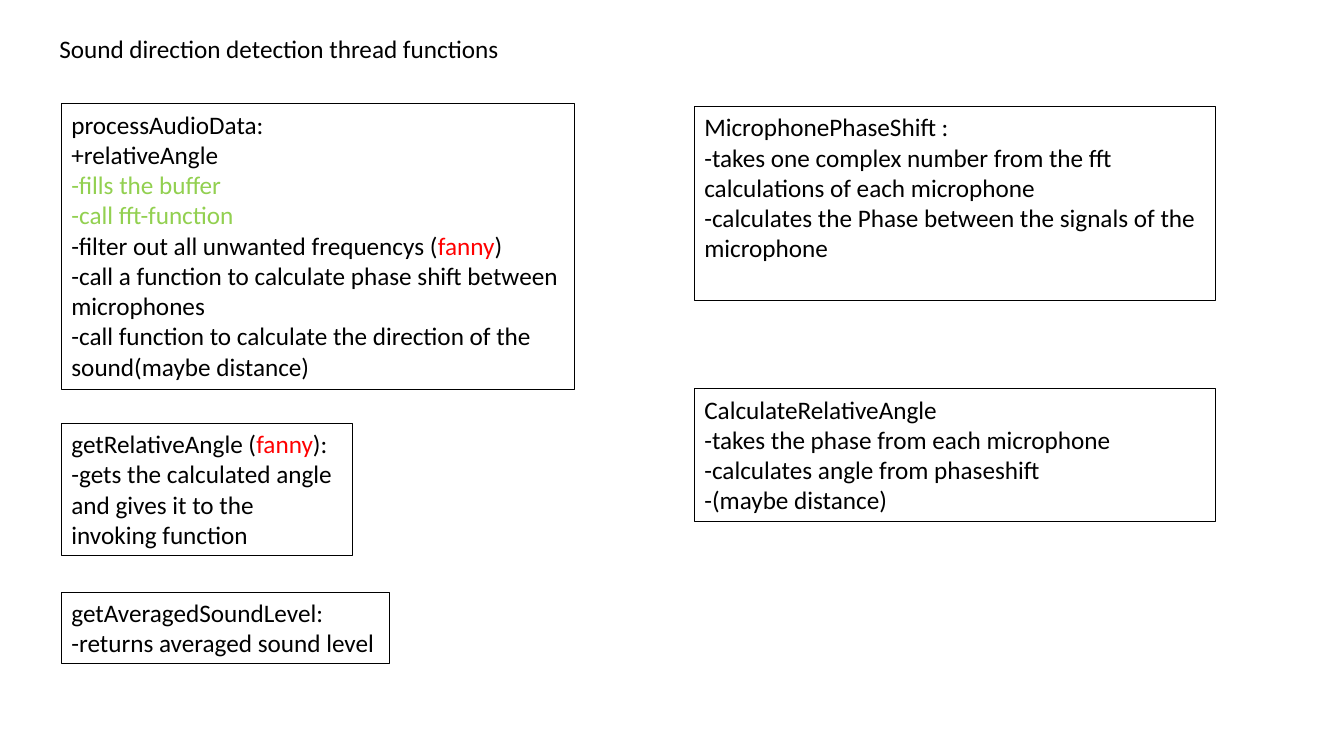
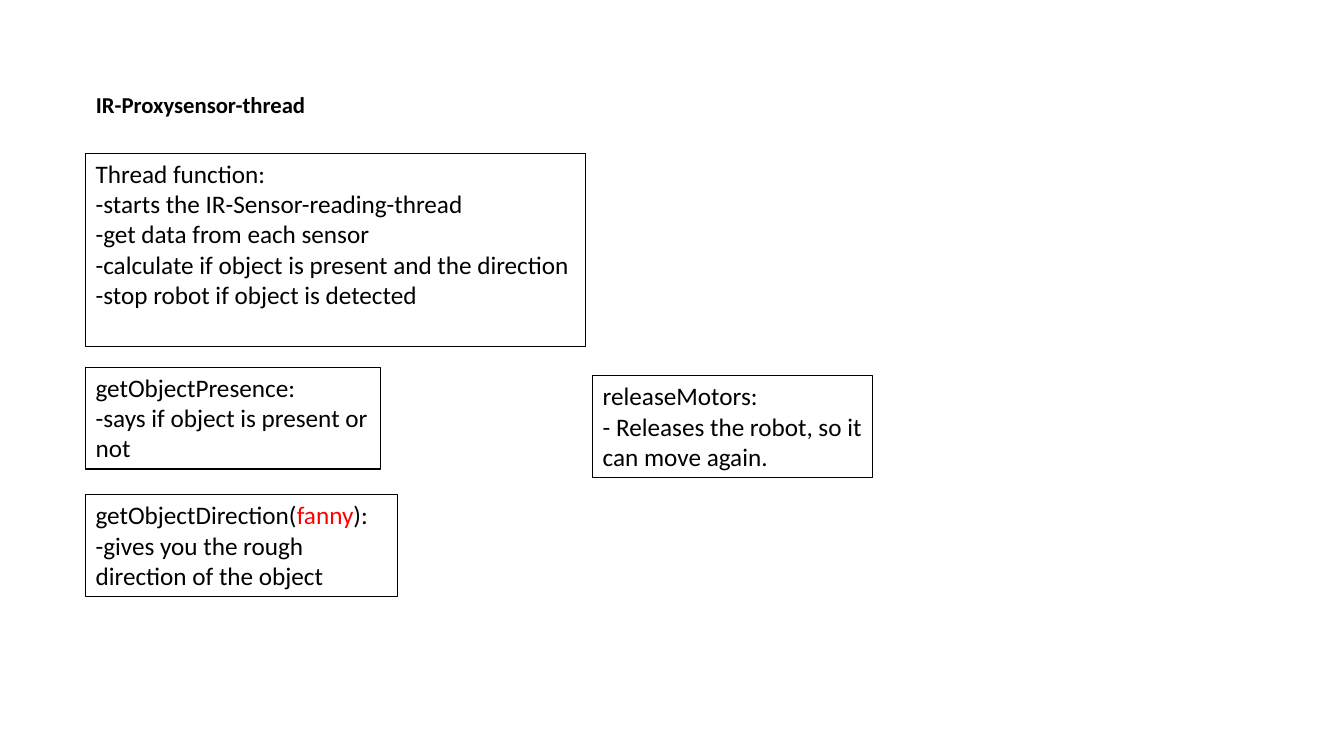
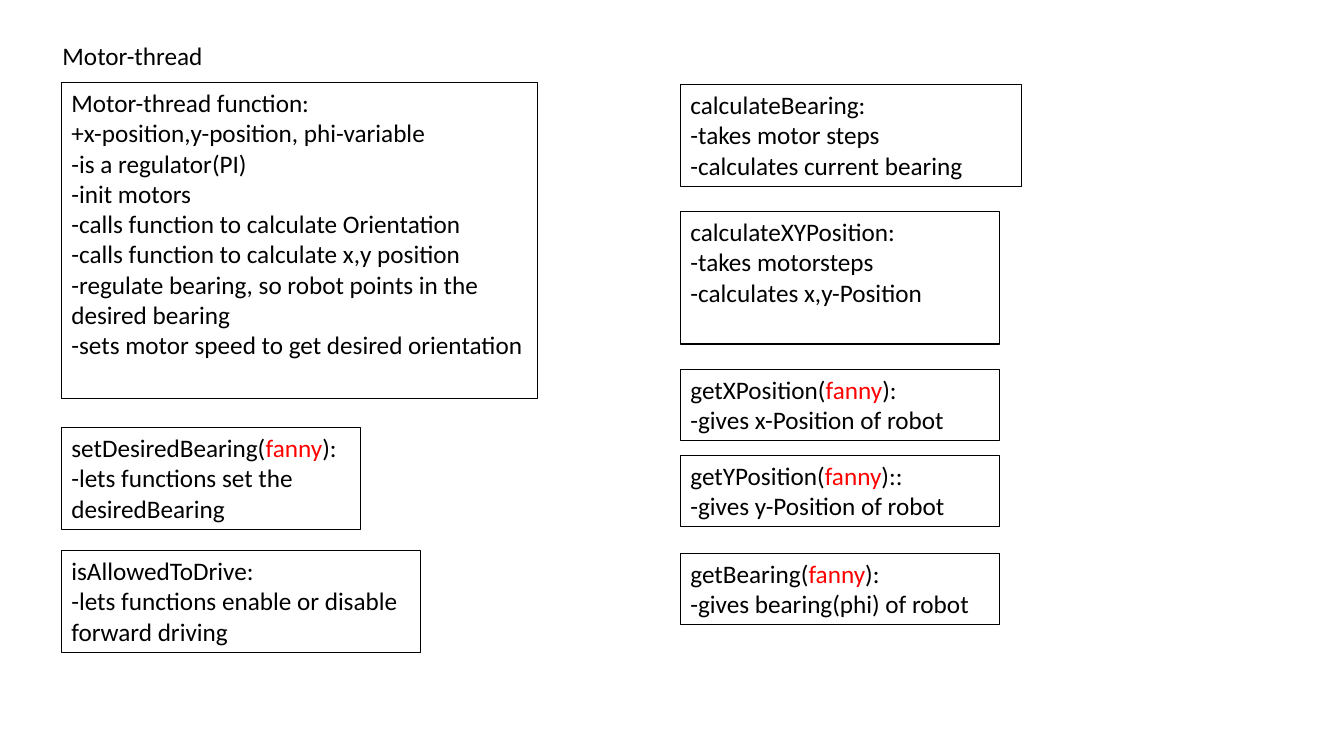
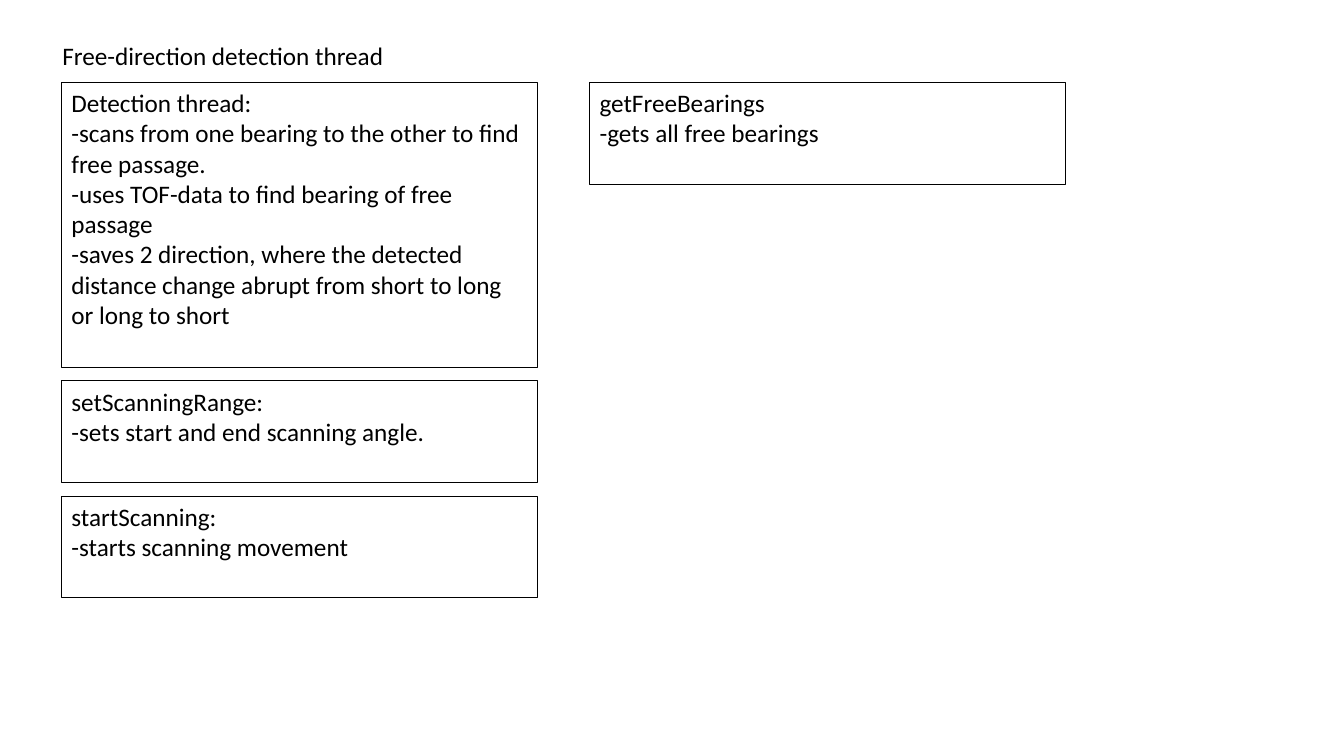
from dataclasses import dataclass

from pptx import Presentation
from pptx.dml.color import RGBColor
from pptx.enum.shapes import MSO_SHAPE as Shape
from pptx.enum.text import MSO_ANCHOR as Anchor, MSO_AUTO_SIZE as AutoSize, PP_ALIGN as Align
from pptx.util import Cm, Pt


@dataclass(frozen=True)
class Theme:
    font: str = "Calibri"
    ink: RGBColor = RGBColor(0x00, 0x00, 0x00)
    done: RGBColor = RGBColor(0x92, 0xD0, 0x50)
    owner: RGBColor = RGBColor(0xFF, 0x00, 0x00)
    body_size: float = 18
    heading_size: float = 16.2
    outline: float = 0.75
    line_height: float = 0.77
    box_padding: float = 0.26


OWNER = "fanny"
TITLE_ONLY = 5


class Deck:
    """Holds the theme and the slide being filled; lengths are in centimetres."""

    def __init__(self, theme):
        self.theme = theme
        self.prs = Presentation()
        self.prs.slide_width, self.prs.slide_height = Cm(33.87), Cm(19.05)
        self.slide = None

    def style(self, run, color, size, bold=False):
        font = run.font
        font.name, font.size, font.bold = self.theme.font, Pt(size), bold
        font.color.rgb = color

    def new_slide(self, title, left, top, width, height=1.02, heading=False):
        """Add a slide with its title; a heading is smaller, bold and tighter."""
        self.slide = self.prs.slides.add_slide(self.prs.slide_layouts[TITLE_ONLY])
        holder = self.slide.shapes.title
        holder.left, holder.top = Cm(left), Cm(top)
        holder.width, holder.height = Cm(width), Cm(height)
        frame = holder.text_frame
        frame.text = title
        frame.word_wrap, frame.auto_size = True, AutoSize.NONE
        frame.vertical_anchor = Anchor.MIDDLE if heading else Anchor.TOP
        paragraph = frame.paragraphs[0]
        paragraph.alignment = Align.LEFT
        paragraph.line_spacing = 0.9 if heading else 1.0
        size = self.theme.heading_size if heading else self.theme.body_size
        self.style(paragraph.runs[0], self.theme.ink, size, heading)

    def box_height(self, rows):
        return self.theme.box_padding + rows * self.theme.line_height

    def function_box(self, left, top, width, rows, text, done=()):
        """Outlined box, rows text lines high; lines numbered in done are green."""
        theme = self.theme
        box = self.slide.shapes.add_shape(
            Shape.RECTANGLE, Cm(left), Cm(top), Cm(width), Cm(self.box_height(rows)))
        box.shadow.inherit = False
        box.fill.background()
        box.line.color.rgb, box.line.width = theme.ink, Pt(theme.outline)
        frame = box.text_frame
        frame.word_wrap, frame.vertical_anchor = True, Anchor.TOP
        frame.text = "\n".join(text)
        for number, paragraph in enumerate(frame.paragraphs):
            paragraph.alignment = Align.LEFT
            color = theme.done if number in done else theme.ink
            before, owner, after = text[number].partition(OWNER)
            paragraph.runs[0].text = before
            for part in filter(None, (owner, after)):
                paragraph.add_run().text = part
            for run in paragraph.runs:
                self.style(run, theme.owner if run.text == OWNER else color, theme.body_size)


deck = Deck(Theme())
MARGIN = 1.55

# Slide 1: sound direction
deck.new_slide("Sound direction detection thread functions", 1.24, 0.71, 12.09)
deck.function_box(MARGIN, 2.62, 12.93, 9, [
    "processAudioData:",
    "+relativeAngle",
    "-fills the buffer",
    "-call fft-function",
    "-filter out all unwanted frequencys (fanny)",
    "-call a function to calculate phase shift between microphones",
    "-call function to calculate the direction of the sound(maybe distance)",
], done=(2, 3))
deck.function_box(17.5, 2.69, 13.13, 6, [
    "MicrophonePhaseShift :",
    "-takes one complex number from the fft calculations of each microphone",
    "-calculates the Phase between the signals of the microphone",
])
deck.function_box(17.5, 9.8, 13.13, 4, [
    "CalculateRelativeAngle",
    "-takes the phase from each microphone",
    "-calculates angle from phaseshift",
    "-(maybe distance)",
])
deck.function_box(MARGIN, 10.67, 7.34, 4, [
    "getRelativeAngle (fanny):",
    "-gets the calculated angle and gives it to the invoking function",
])
deck.function_box(MARGIN, 14.92, 8.26, 2, [
    "getAveragedSoundLevel:",
    "-returns averaged sound level",
])

# Slide 2: proximity sensor
SENSOR_LEFT = 2.16
deck.new_slide("IR-Proxysensor-thread", SENSOR_LEFT, 2.24, 29.21, 0.86, heading=True)
deck.function_box(SENSOR_LEFT, 3.86, 12.6, 6, [
    "Thread function:",
    "-starts the IR-Sensor-reading-thread",
    "-get data from each sensor",
    "-calculate if object is present and the direction",
    "-stop robot if object is detected",
])
deck.function_box(SENSOR_LEFT, 9.25, 7.42, 3, [
    "getObjectPresence:",
    "-says if object is present or not",
])
deck.function_box(SENSOR_LEFT, 12.47, 7.87, 3, [
    "getObjectDirection(fanny):",
    "-gives you the rough direction of the object",
])
deck.function_box(14.94, 9.47, 7.04, 3, [
    "releaseMotors:",
    "- Releases the robot, so it can move again.",
])

# Slide 3: motors
THREAD_TOP, THREAD_WIDTH = 2.08, 11.99
POSITION_LEFT, POSITION_WIDTH = 17.15, 8.05
deck.new_slide("Motor-thread", 1.32, 0.89, 8.05)
deck.function_box(MARGIN, THREAD_TOP, THREAD_WIDTH, 10, [
    "Motor-thread function:",
    "+x-position,y-position, phi-variable",
    "-is a regulator(PI)",
    "-init motors",
    "-calls function to calculate Orientation",
    "-calls function to calculate x,y position",
    "-regulate bearing, so robot points in the desired bearing",
    "-sets motor speed to get desired orientation",
])
deck.function_box(POSITION_LEFT, 2.13, 8.59, 3, [
    "calculateBearing:",
    "-takes motor steps",
    "-calculates current bearing",
])
deck.function_box(POSITION_LEFT, 5.33, POSITION_WIDTH, 4, [
    "calculateXYPosition:",
    "-takes motorsteps",
    "-calculates x,y-Position",
])
deck.function_box(MARGIN, 13.87, 9.04, 3, [
    "isAllowedToDrive:",
    "-lets functions enable or disable forward driving",
])
deck.function_box(MARGIN, 10.77, 7.54, 3, [
    "setDesiredBearing(fanny):",
    "-lets functions set the desiredBearing",
])
for getter_top, getter in (
    (9.3, ["getXPosition(fanny):", "-gives x-Position of robot"]),
    (11.48, ["getYPosition(fanny)::", "-gives y-Position of robot"]),
    (13.94, ["getBearing(fanny):", "-gives bearing(phi) of robot"]),
):
    deck.function_box(POSITION_LEFT, getter_top, POSITION_WIDTH, 2, getter)

# Slide 4: free direction, left column stacked with equal gaps
deck.new_slide("Free-direction detection thread", 1.32, 0.89, 9.3)
STACK_GAP = 0.33
stack_top = THREAD_TOP
for rows, function in (
    (9, ["Detection thread:",
         "-scans from one bearing to the other to find free passage.",
         "-uses TOF-data to find bearing of free passage",
         "-saves 2 direction, where the detected distance change abrupt "
         "from short to long or long to short"]),
    (3, ["setScanningRange:", "-sets start and end scanning angle."]),
    (3, ["startScanning:", "-starts scanning movement"]),
):
    deck.function_box(MARGIN, stack_top, THREAD_WIDTH, rows, function)
    stack_top += deck.box_height(rows) + STACK_GAP
deck.function_box(14.86, THREAD_TOP, THREAD_WIDTH, 3, [
    "getFreeBearings",
    "-gets all free bearings",
])

deck.prs.save("out.pptx")
